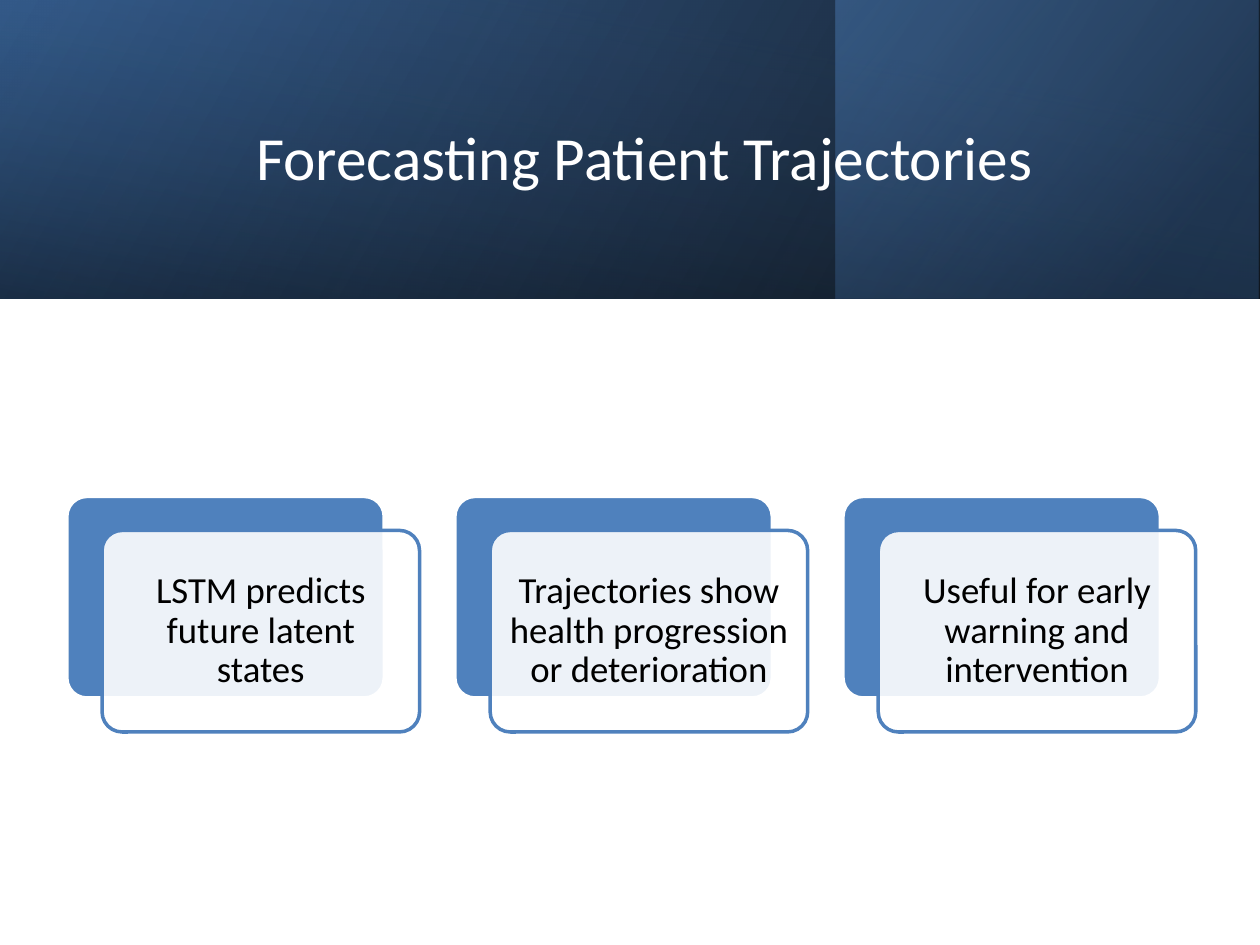
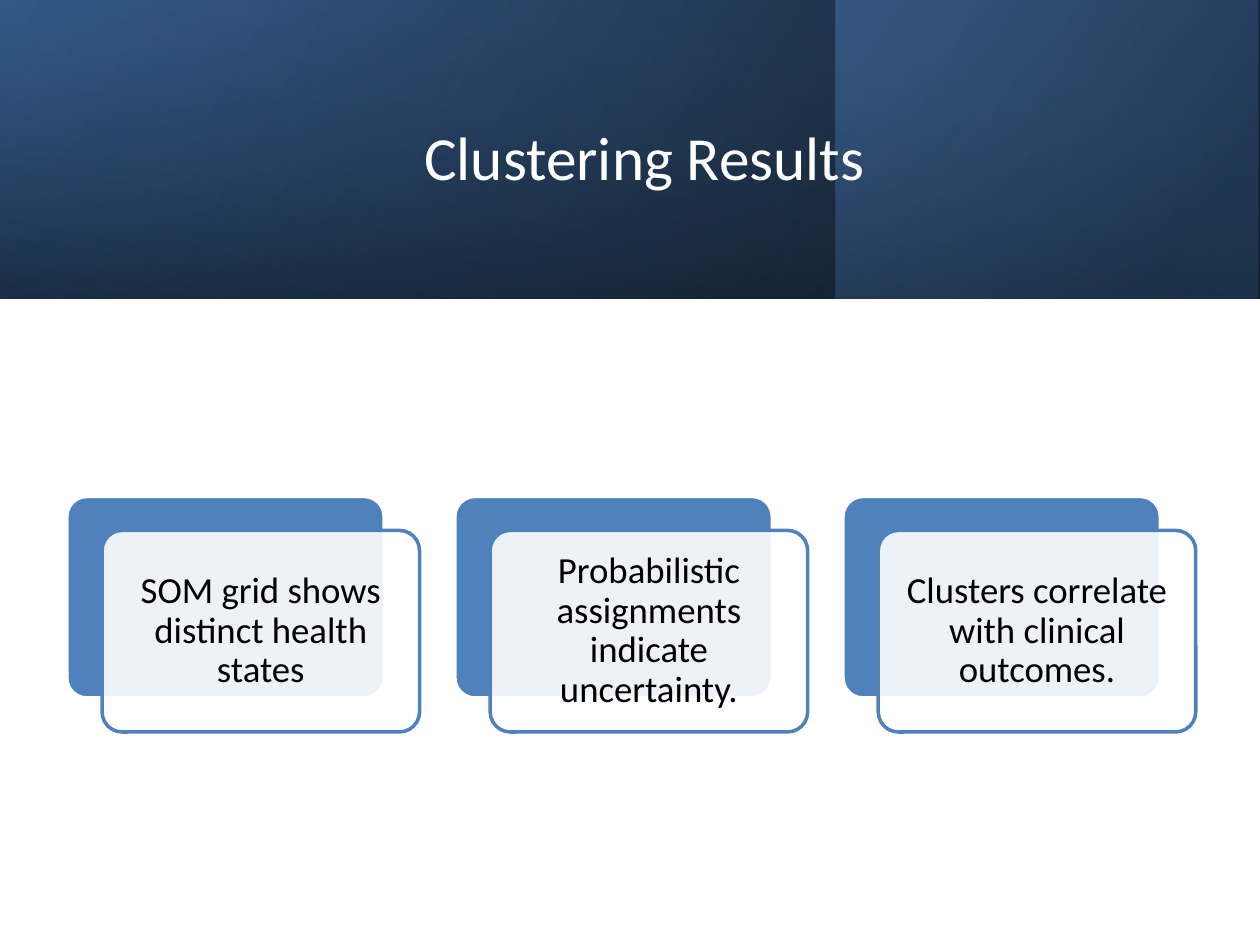
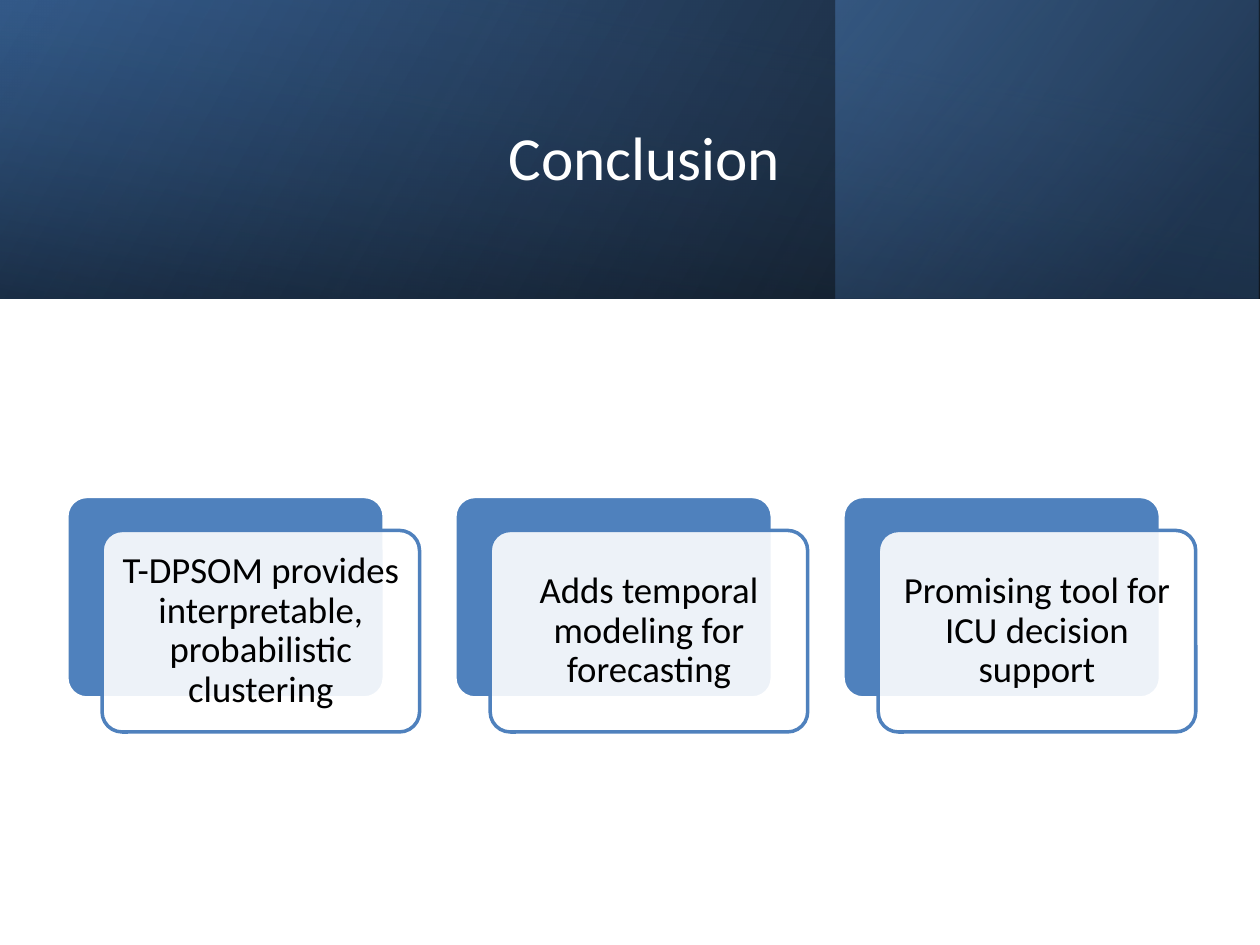
from dataclasses import dataclass

from pptx import Presentation
from pptx import util as u
from pptx.dml.color import RGBColor
from pptx.enum import shapes, text
from pptx.oxml import parse_xml
from pptx.oxml import ns
from pptx.oxml.xmlchemy import OxmlElement

SLIDES = [
    ("Forecasting Patient Trajectories", [
        "LSTM predicts future latent states",
        "Trajectories show health progression or deterioration",
        "Useful for early warning and intervention",
    ]),
    ("Clustering Results", [
        "SOM grid shows distinct health states",
        "Probabilistic assignments indicate uncertainty.",
        "Clusters correlate with clinical outcomes.",
    ]),
    ("Conclusion", [
        "T-DPSOM provides interpretable, probabilistic clustering",
        "Adds temporal modeling for forecasting",
        "Promising tool for ICU decision support",
    ]),
]


@dataclass(frozen=True)
class Theme:
    font: str = "Calibri"
    title_size: int = 35
    card_size: int = 21
    outline: int = 2
    white: str = "FFFFFF"
    black: str = "000000"
    accent: str = "4F81BD"
    deep: str = "376092"
    navy: str = "254061"


THEME = Theme()
SLIDE_WIDTH, SLIDE_HEIGHT, BAND_HEIGHT = 10, 7.5, 2.37
TITLE_BOX = (1.13, 0.38, 7.97, 1.72)
CARD_LEFT, CARD_TOP, CARD_STEP = 0.53, 3.94, 3.08
CARD_WIDTH, CARD_HEIGHT = 2.52, 1.6
FRONT_SHIFT_X, FRONT_SHIFT_Y = 0.28, 0.27
TEXT_INSET, TEXT_MARGIN = 0.05, 0.09

BANDS = [
    {"box": (0, 0, SLIDE_WIDTH, BAND_HEIGHT), "rotation": 0, "angle": 330,
     "stops": [(0, THEME.black, 96), (100, THEME.deep, 100)]},
    {"box": (6.63, 0, 3.36, BAND_HEIGHT), "rotation": 0, "angle": 320,
     "stops": [(19, THEME.navy, 68), (100, THEME.accent, 48)]},
    {"box": ((SLIDE_WIDTH - BAND_HEIGHT) / 2, (BAND_HEIGHT - SLIDE_WIDTH) / 2,
             BAND_HEIGHT, SLIDE_WIDTH), "rotation": 270, "angle": 350,
     "stops": [(23, THEME.deep, 16), (99, THEME.black, 45)]},
]


def inches(box):
    return [u.Inches(value) for value in box]


def write(shape, content, *, size, color, line_spacing=None, margin=None):
    frame = shape.text_frame
    frame.word_wrap = True
    frame.auto_size = text.MSO_AUTO_SIZE.NONE
    frame.vertical_anchor = text.MSO_ANCHOR.MIDDLE
    if margin is not None:
        frame.margin_left = frame.margin_right = u.Inches(margin)
        frame.margin_top = frame.margin_bottom = u.Inches(margin)
    paragraph = frame.paragraphs[0]
    paragraph.alignment = text.PP_ALIGN.CENTER
    paragraph.line_spacing = line_spacing
    run = paragraph.add_run()
    run.text = content
    run.font.name = THEME.font
    run.font.size = u.Pt(size)
    run.font.color.rgb = RGBColor.from_string(color)


def set_gradient(shape, stops, angle):
    shape.fill.background()
    properties = shape._element.spPr
    stop_list = "".join(
        f'<a:gs pos="{position * 1000}"><a:srgbClr val="{color}">'
        f'<a:alpha val="{opacity * 1000}"/></a:srgbClr></a:gs>'
        for position, color, opacity in stops)
    gradient = parse_xml(
        f'<a:gradFill {ns.nsdecls("a")} rotWithShape="1"><a:gsLst>{stop_list}</a:gsLst>'
        f'<a:lin ang="{angle * 60000}" scaled="0"/></a:gradFill>')
    properties.replace(properties.find(ns.qn("a:noFill")), gradient)


def add_band(slide, box, rotation, angle, stops):
    band = slide.shapes.add_shape(shapes.MSO_SHAPE.RECTANGLE, *inches(box))
    band.shadow.inherit = False
    set_gradient(band, stops, angle)
    band.line.fill.background()
    band.rotation = rotation
    band._element.spPr.xfrm.set("flipH", "1")


def add_panel(group, box, fill, line, opacity=100):
    panel = group.shapes.add_shape(shapes.MSO_SHAPE.ROUNDED_RECTANGLE, *inches(box))
    panel.shadow.inherit = False
    panel.adjustments[0] = 0.1
    panel.fill.solid()
    panel.fill.fore_color.rgb = RGBColor.from_string(fill)
    if opacity < 100:
        alpha = OxmlElement("a:alpha")
        alpha.set("val", str(opacity * 1000))
        next(panel._element.spPr.iter(ns.qn("a:srgbClr"))).append(alpha)
    panel.line.color.rgb = RGBColor.from_string(line)
    panel.line.width = u.Pt(THEME.outline)


def add_card(group, index, content):
    left = CARD_LEFT + index * CARD_STEP
    front_left, front_top = left + FRONT_SHIFT_X, CARD_TOP + FRONT_SHIFT_Y
    add_panel(group, (left, CARD_TOP, CARD_WIDTH, CARD_HEIGHT), THEME.accent, THEME.white)
    add_panel(group, (front_left, front_top, CARD_WIDTH, CARD_HEIGHT),
              THEME.white, THEME.accent, opacity=90)
    label = group.shapes.add_textbox(*inches((
        front_left + TEXT_INSET, front_top + TEXT_INSET,
        CARD_WIDTH - 2 * TEXT_INSET, CARD_HEIGHT - 2 * TEXT_INSET)))
    write(label, content, size=THEME.card_size, color=THEME.black,
          line_spacing=0.9, margin=TEXT_MARGIN)


def add_slide(presentation, heading, cards):
    slide = presentation.slides.add_slide(presentation.slide_layouts[5])
    title = slide.shapes.title
    for band in BANDS:
        add_band(slide, **band)
    slide.shapes._spTree.append(title._element)
    title.left, title.top, title.width, title.height = inches(TITLE_BOX)
    write(title, heading, size=THEME.title_size, color=THEME.white)
    group = slide.shapes.add_group_shape()
    for index, content in enumerate(cards):
        add_card(group, index, content)


def main():
    presentation = Presentation()
    presentation.slide_width = u.Inches(SLIDE_WIDTH)
    presentation.slide_height = u.Inches(SLIDE_HEIGHT)
    for heading, cards in SLIDES:
        add_slide(presentation, heading, cards)
    presentation.save("out.pptx")


if __name__ == "__main__":
    main()
